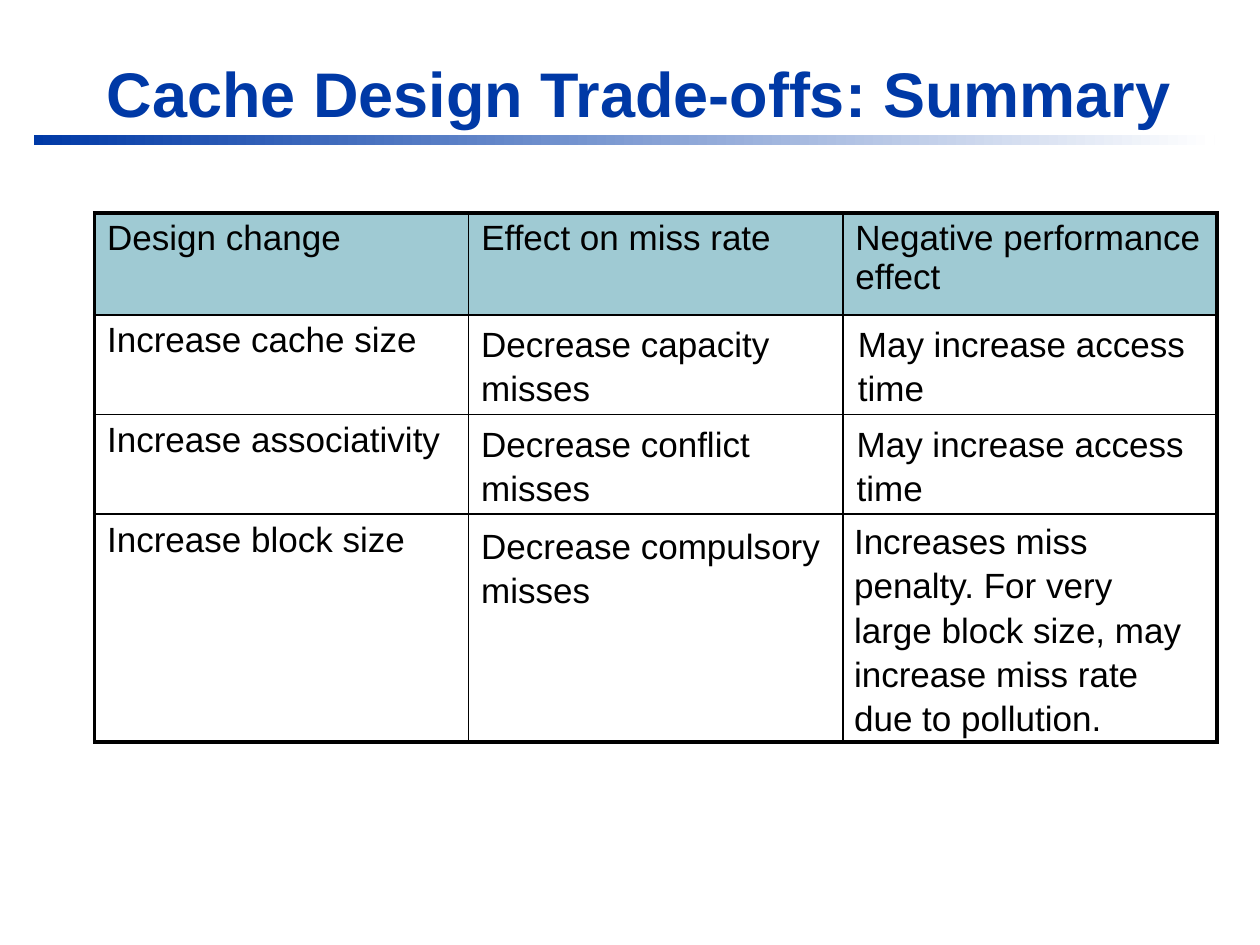
from pptx import Presentation
from pptx.util import Inches, Pt
from pptx.dml.color import RGBColor
from pptx.enum.shapes import MSO_SHAPE
from pptx.enum.text import MSO_ANCHOR
from pptx.oxml import parse_xml
from pptx.oxml.ns import nsdecls

BLUE, TEAL, BLACK, WHITE = "0039A6", "9FCAD3", "000000", "FFFFFF"
THICK, MID, THIN = 2.25, 1.5, 1
HEADS = ["Design change", "Effect on miss rate", "Negative performance effect"]
CHANGES = ["Increase cache size", "Increase associativity", "Increase block size"]
WIDTHS = [2.97] * 3
HEIGHTS = [0.81, 0.79, 0.79, 1.81]

# Each note: text, then column, row, and offset from that cell's corner
NOTES = [
    ("Decrease capacity misses", 1, 1, 0, -0.01),
    ("Decrease conflict misses", 1, 2, 0, 0),
    ("Decrease compulsory misses", 1, 3, 0, 0.02),
    ("May increase access time", 2, 1, 0.02, -0.01),
    ("May increase access time", 2, 2, 0.01, 0),
    ("Increases miss penalty. For very large block size, "
     "may increase miss rate due to pollution.", 2, 3, -0.01, -0.02),
]


def color(code):
    return RGBColor.from_string(code)


def write(frame, text, size=20, code=BLACK, bold=False):
    para = frame.paragraphs[0]
    run = para.add_run()
    run.text = text
    font = run.font
    font.name, font.size, font.bold = "Arial", Pt(size), bold
    font.color.rgb = color(code)
    return para


def add_text(slide, box, text, **style):
    frame = slide.shapes.add_textbox(*map(Inches, box)).text_frame
    frame.word_wrap = True
    return frame, write(frame, text, **style)


def add_title(slide, box):
    frame, _ = add_text(slide, box, "Cache Design Trade-offs: Summary",
                        size=36, code=BLUE, bold=True)
    frame.vertical_anchor = MSO_ANCHOR.BOTTOM


def add_rule(slide, box):
    bar = slide.shapes.add_shape(MSO_SHAPE.RECTANGLE, *map(Inches, box))
    bar.shadow.inherit = False
    bar.line.fill.background()
    bar.fill.gradient()
    bar.fill.gradient_angle = 0
    for stop, code, spot in zip(bar.fill.gradient_stops, (BLUE, WHITE), (0, 1)):
        stop.color.rgb = color(code)
        stop.position = spot


def set_edges(cell, edges):
    props = cell._tc.get_or_add_tcPr()
    for spot, (side, width) in enumerate(edges.items()):
        props.insert(spot, parse_xml(
            f'<a:ln{side} {nsdecls("a")} w="{Pt(width)}"><a:solidFill>'
            f'<a:srgbClr val="{BLACK}"/></a:solidFill></a:ln{side}>'))


def add_grid(slide, box):
    rows, cols = len(HEIGHTS), len(WIDTHS)
    table = slide.shapes.add_table(rows, cols, *map(Inches, box)).table
    for col, width in zip(table.columns, WIDTHS):
        col.width = Inches(width)
    for row, height in zip(table.rows, HEIGHTS):
        row.height = Inches(height)
    # Thick frame, medium line under the header, thin lines elsewhere
    across = [THICK, MID] + [THIN] * (rows - 2) + [THICK]
    down = [THICK] + [THIN] * (cols - 1) + [THICK]
    for r in range(rows):
        for c in range(cols):
            cell = table.cell(r, c)
            if r == 0:
                cell.fill.solid()
                cell.fill.fore_color.rgb = color(TEAL)
                write(cell.text_frame, HEADS[c])
            else:
                cell.fill.background()
                if c == 0:
                    write(cell.text_frame, CHANGES[r - 1])
            set_edges(cell, {"L": down[c], "R": down[c + 1],
                             "T": across[r], "B": across[r + 1]})


def add_notes(slide, box):
    left, top = box[:2]
    for text, col, row, dx, dy in NOTES:
        x = left + sum(WIDTHS[:col]) + dx
        y = top + sum(HEIGHTS[:row]) + dy
        tall = 1.78 if row == 3 and col == 2 else 0.77
        _, para = add_text(slide, (x, y, 2.91, tall), text)
        para.line_spacing = 1.05


def main():
    deck = Presentation()
    deck.slide_width, deck.slide_height = Inches(10), Inches(7.5)
    slide = deck.slides.add_slide(deck.slide_layouts[6])
    grid = (0.75, 1.69, sum(WIDTHS), sum(HEIGHTS))
    add_rule(slide, (0.27, 1.07, 9.37, 0.08))
    add_title(slide, (0.75, 0.37, 9.25, 0.71))
    add_grid(slide, grid)
    add_notes(slide, grid)
    deck.save("out.pptx")


if __name__ == "__main__":
    main()
